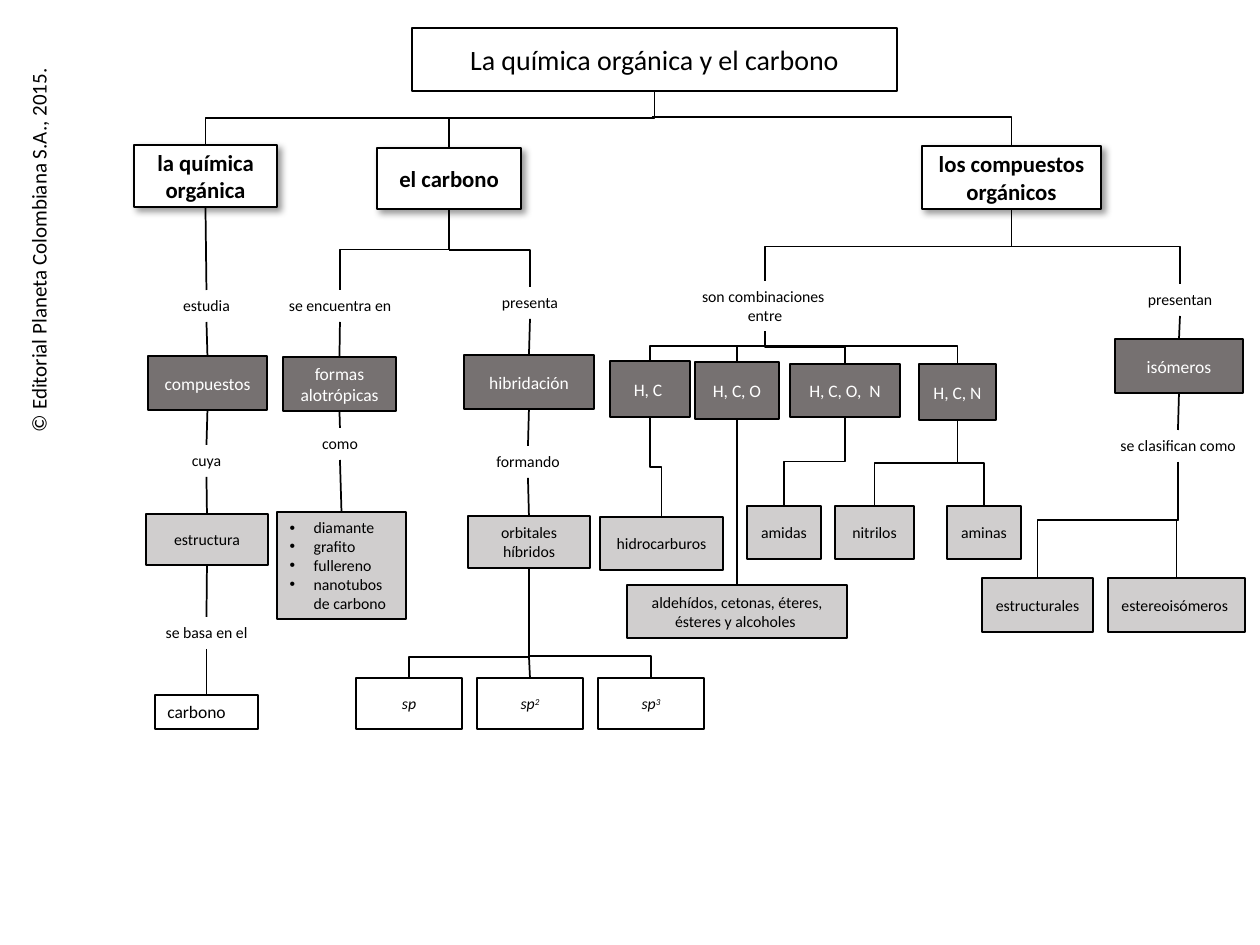
from lxml.etree import SubElement
from pptx import Presentation
from pptx.dml.color import RGBColor
from pptx.enum.shapes import MSO_CONNECTOR, MSO_SHAPE
from pptx.enum.text import MSO_ANCHOR, MSO_AUTO_SIZE, PP_ALIGN
from pptx.oxml.ns import qn
from pptx.util import Emu, Pt

WHITE = RGBColor(0xFF, 0xFF, 0xFF)
BLACK = RGBColor(0x00, 0x00, 0x00)
DARK_GRAY = RGBColor(0x76, 0x71, 0x71)
LIGHT_GRAY = RGBColor(0xD0, 0xCE, 0xCE)
EMU_PER_PX = 914400 / 126

FONTS = {
    "title": {"size": Pt(16)},
    "topic": {"size": Pt(13), "bold": True},
    "concept": {"size": Pt(10)},
    "detail": {"size": Pt(9)},
    "orbital": {"size": Pt(9), "italic": True},
    "link": {"size": Pt(9)},
    "origin": {"size": Pt(10)},
    "copyright": {"size": Pt(12)},
}
FILLS = {"concept": DARK_GRAY, "detail": LIGHT_GRAY}
COMBINATIONS = "son combinaciones \nentre"
ALCOHOLS = "aldehídos, cetonas, éteres, ésteres y alcoholes "
TITLE = "La química orgánica y el carbono"
ALLOTROPES = ("diamante", "grafito", "fullereno", "nanotubos de carbono")

BOXES = {
    "topic": {
        "la química orgánica": (134, 145, 143, 62),
        "el carbono": (377, 148, 144, 61),
        "los compuestos orgánicos": (922, 146, 179, 63),
    },
    "concept": {
        "compuestos": (148, 356, 119, 54),
        "formas alotrópicas": (283, 357, 113, 54),
        "hibridación": (464, 355, 130, 54),
        "H, C ": (610, 361, 80, 56),
        "H, C, O": (695, 362, 84, 57),
        "H, C, O,  N": (790, 364, 110, 53),
        "H, C, N": (919, 364, 77, 56),
        "isómeros": (1115, 339, 128, 54),
    },
    "detail": {
        "estructura": (146, 514, 122, 51),
        "orbitales híbridos": (468, 516, 122, 52),
        "hidrocarburos": (600, 517, 123, 53),
        ALCOHOLS: (627, 585, 220, 53),
        "amidas": (747, 506, 74, 53),
        "nitrilos": (835, 506, 79, 53),
        "aminas": (947, 506, 74, 53),
        "estructurales": (982, 578, 111, 54),
        "estereoisómeros ": (1108, 578, 137, 54),
    },
    "origin": {"carbono": (155, 695, 103, 34)},
}
LINK_WORDS = {
    "estudia": (111, 290, 191, 32),
    "cuya": (111, 445, 191, 32),
    "se basa en el": (111, 617, 191, 32),
    "se encuentra en": (273, 290, 134, 32),
    "como": (277, 428, 126, 32),
    "presenta": (455, 287, 150, 32),
    "formando": (432, 446, 192, 32),
    COMBINATIONS: (669, 281, 192, 50),
    "presentan": (1108, 284, 144, 32),
    "se clasifican como": (1106, 430, 144, 32),
}
STRAIGHT_CHAINS = (
    ("la química orgánica", "estudia", "compuestos", "cuya", "estructura",
     "se basa en el", "carbono"),
    ("se encuentra en", "formas alotrópicas", "como", "alotropos"),
    ("presenta", "hibridación", "formando", "orbitales híbridos"),
    ("presentan", "isómeros", "se clasifican como"),
    ("H, C, O", ALCOHOLS),
)
ELBOWS = (
    (TITLE, "la química orgánica", 0.5),
    ("el carbono", "se encuentra en", 0.5),
    ("los compuestos orgánicos", COMBINATIONS, 0.52),
    ("los compuestos orgánicos", "presentan", 0.5),
    (COMBINATIONS, "H, C ", 0.5),
    (COMBINATIONS, "H, C, O", 0.5),
    (COMBINATIONS, "H, C, O,  N", 0.48),
    (COMBINATIONS, "H, C, N", 0.46),
    ("H, C ", "hidrocarburos", 0.5),
    ("H, C, O,  N", "amidas", 0.5),
    ("H, C, N", "nitrilos", 0.5),
    ("H, C, N", "aminas", 0.5),
    ("se clasifican como", "estructurales", 0.5),
    ("se clasifican como", "estereoisómeros ", 0.5),
    ("orbitales híbridos", "sp", 0.81),
)
TRUNKS = ((449, 119, "el carbono"), (529, 656, "sp2"))
BRANCHES = ((652, 117, "los compuestos orgánicos"), (449, 250, "presenta"), (529, 656, "sp3"))


def px(value):
    """Turn pixels into EMU."""
    return Emu(round(value * EMU_PER_PX))


def assign(target, values):
    """Set each named attribute of the target."""
    for name, value in values.items():
        setattr(target, name, value)


def place(shape, frame):
    """Move and size a shape to a frame in pixels."""
    assign(shape, dict(zip(("left", "top", "width", "height"), map(px, frame))))


def outline(shape, fill):
    """Give a box its fill and thin black border."""
    shape.fill.solid()
    shape.fill.fore_color.rgb = fill
    shape.line.color.rgb = BLACK
    shape.line.width = Pt(1)


def format_text(shape, kind, align=PP_ALIGN.CENTER, color=BLACK, **frame_values):
    """Format the text frame and every paragraph of a shape."""
    assign(shape.text_frame, {"word_wrap": True, "auto_size": MSO_AUTO_SIZE.NONE,
                              "vertical_anchor": MSO_ANCHOR.MIDDLE, **frame_values})
    for paragraph in shape.text_frame.paragraphs:
        paragraph.alignment = align
        assign(paragraph.font, {"name": "Calibri", **FONTS[kind]})
        paragraph.font.color.rgb = color


def cast_shadow(shape):
    """Add a soft shadow towards the lower right."""
    effects = shape._element.spPr.find(qn("a:effectLst"))
    shadow = SubElement(effects, qn("a:outerShdw"), blurRad="50800", dist="38100",
                        dir="2700000", algn="tl", rotWithShape="0")
    tint = SubElement(shadow, qn("a:prstClr"), val="black")
    SubElement(tint, qn("a:alpha"), val="40000")


def add_box(slide, text, kind, frame):
    """Add a bordered concept box."""
    box = slide.shapes.add_shape(MSO_SHAPE.RECTANGLE, *map(px, frame))
    box.shadow.inherit = False
    outline(box, FILLS.get(kind, WHITE))
    box.text_frame.text = text
    format_text(box, kind, PP_ALIGN.LEFT if kind == "origin" else PP_ALIGN.CENTER,
                WHITE if kind == "concept" else BLACK)
    if kind == "topic":
        cast_shadow(box)
    return box


def add_label(slide, text, kind, frame, **text_values):
    """Add plain text without a border."""
    label = slide.shapes.add_textbox(*map(px, frame))
    label.text_frame.text = text
    format_text(label, kind, auto_size=MSO_AUTO_SIZE.SHAPE_TO_FIT_TEXT,
                vertical_anchor=MSO_ANCHOR.TOP, **text_values)
    return label


def add_orbital(slide, power, frame):
    """Add an orbital box with its superscript."""
    box = add_box(slide, "sp", "orbital", frame)
    if power:
        exponent = box.text_frame.paragraphs[0].add_run()
        exponent.text = power
        exponent._r.get_or_add_rPr().set("baseline", "30000")
    return box


def fill_title(title):
    """Turn the title placeholder into the top box."""
    place(title, (412, 28, 485, 63))
    outline(title, WHITE)
    title.text_frame.text = TITLE
    format_text(title, "title")
    return title


def fill_allotropes(body):
    """Turn the body placeholder into the bulleted box."""
    place(body, (277, 512, 129, 107))
    outline(body, LIGHT_GRAY)
    body.text_frame.text = "\n".join(ALLOTROPES)
    for paragraph in body.text_frame.paragraphs:
        properties = paragraph._p.get_or_add_pPr()
        properties.set("marL", str(px(24)))
        properties.set("indent", str(px(-24)))
        SubElement(properties, qn("a:buFont"), typeface="Arial")
        SubElement(properties, qn("a:buChar"), char="•")
        paragraph.space_before = Pt(0)
    format_text(body, "detail", PP_ALIGN.LEFT)
    return body


def add_line(slide, start, end, kind=MSO_CONNECTOR.STRAIGHT):
    """Add a thin black connector between two points in EMU."""
    line = slide.shapes.add_connector(kind, *start, *end)
    line.line.color.rgb = BLACK
    line.line.width = Pt(1)
    SubElement(line._element.spPr, qn("a:effectLst"))
    return line


def top_point(node):
    """Return the middle of the upper side."""
    return Emu(node.left + node.width // 2), node.top


def bottom_point(node):
    """Return the middle of the lower side."""
    return Emu(node.left + node.width // 2), Emu(node.top + node.height)


def add_straight(slide, upper, lower):
    """Join two nodes with a straight line."""
    line = add_line(slide, bottom_point(upper), top_point(lower))
    line.begin_connect(upper, 2)
    line.end_connect(lower, 0)


def add_elbow(slide, upper, lower, bend):
    """Run a line down, across and down again between two nodes."""
    (x1, y1), (x2, y2) = bottom_point(upper), top_point(lower)
    span, drop = abs(x2 - x1), y2 - y1
    left, top = (x1 + x2 - drop) // 2, (y1 + y2 - span) // 2
    line = add_line(slide, (left, top), (left + drop, top + span), MSO_CONNECTOR.ELBOW)
    transform = line._element.spPr.find(qn("a:xfrm"))
    transform.set("rot", "16200000" if x2 > x1 else "5400000")
    if x2 > x1:
        transform.set("flipH", "1")
    geometry = line._element.spPr.find(qn("a:prstGeom"))
    SubElement(geometry.find(qn("a:avLst")), qn("a:gd"), name="adj1",
               fmla=f"val {round(bend * 100000)}")


def add_branch(slide, x, y, node):
    """Run a line across and then down to a node."""
    line = add_line(slide, (px(x), px(y)), top_point(node), MSO_CONNECTOR.ELBOW)
    line._element.spPr.find(qn("a:prstGeom")).set("prst", "bentConnector2")


def main():
    """Build the concept map."""
    deck = Presentation()
    deck.slide_width, deck.slide_height = px(1260), px(945)
    slide = deck.slides.add_slide(deck.slide_layouts[1])
    nodes = {TITLE: fill_title(slide.shapes.title),
             "alotropos": fill_allotropes(slide.placeholders[1])}
    for kind, boxes in BOXES.items():
        for text, frame in boxes.items():
            nodes[text] = add_box(slide, text, kind, frame)
    for index, power in enumerate(("", "2", "3")):
        nodes["sp" + power] = add_orbital(slide, power, (356 + 121 * index, 678, 106, 51))
    for text, frame in LINK_WORDS.items():
        nodes[text] = add_label(slide, text, "link", frame)
    rights = add_label(slide, "© Editorial Planeta Colombiana S.A., 2015.", "copyright",
                       (-158, 229, 393, 38), align=PP_ALIGN.LEFT, word_wrap=False)
    rights.rotation = 270
    for chain in STRAIGHT_CHAINS:
        for upper, lower in zip(chain, chain[1:]):
            add_straight(slide, nodes[upper], nodes[lower])
    for upper, lower, bend in ELBOWS:
        add_elbow(slide, nodes[upper], nodes[lower], bend)
    for x, y, lower in TRUNKS:
        add_line(slide, (px(x), px(y)), top_point(nodes[lower])).end_connect(nodes[lower], 0)
    for x, y, lower in BRANCHES:
        add_branch(slide, x, y, nodes[lower])
    deck.save("out.pptx")


if __name__ == "__main__":
    main()
